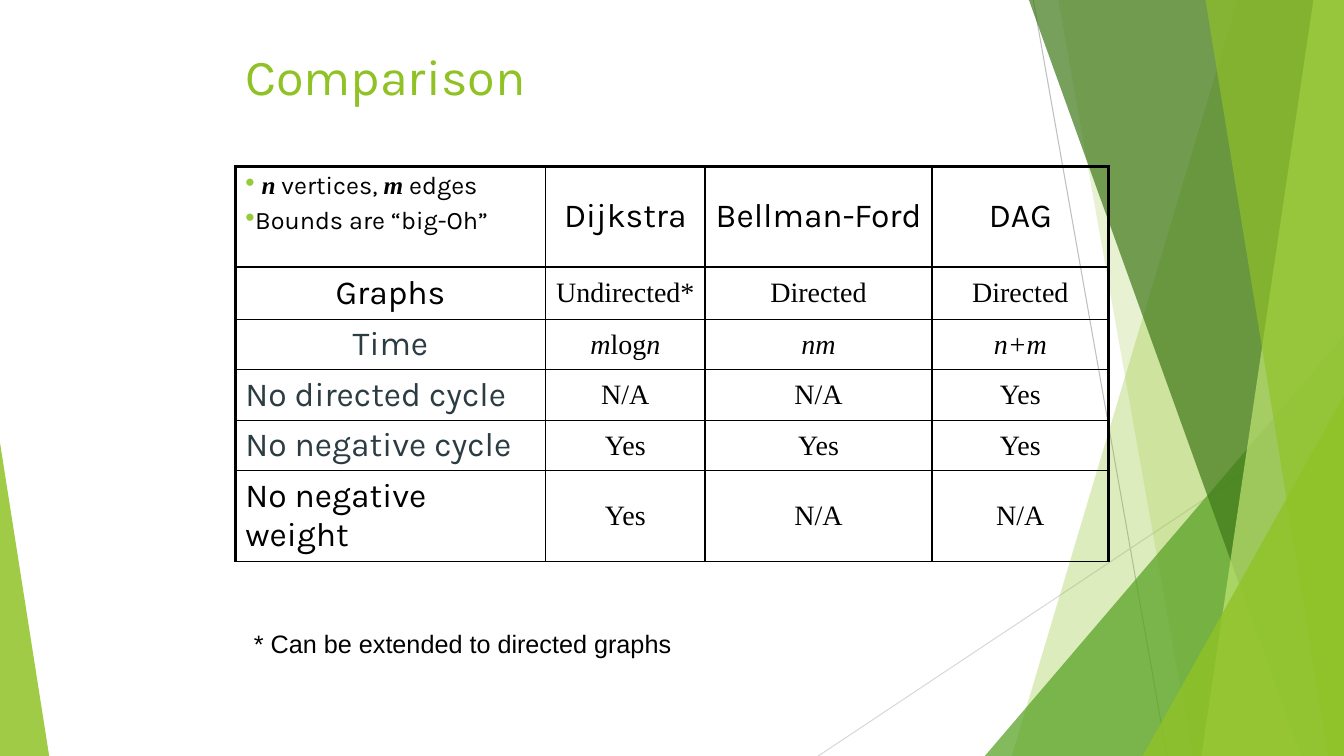
"""Build the slide that compares shortest-path algorithms."""
from lxml import etree
from pptx import Presentation
from pptx.dml.color import RGBColor
from pptx.enum.shapes import MSO_CONNECTOR, MSO_SHAPE
from pptx.enum.text import MSO_ANCHOR, PP_ALIGN
from pptx.oxml.ns import qn
from pptx.util import Cm, Pt

STRAIGHT = MSO_CONNECTOR.STRAIGHT
TRIANGLE = MSO_SHAPE.ISOSCELES_TRIANGLE
LEFT, CENTER = PP_ALIGN.LEFT, PP_ALIGN.CENTER
TOP, MIDDLE = MSO_ANCHOR.TOP, MSO_ANCHOR.MIDDLE

BLACK = RGBColor(0x00, 0x00, 0x00)
SLATE = RGBColor(0x2C, 0x3C, 0x43)
LIME = RGBColor(0x90, 0xC2, 0x26)
GREEN = RGBColor(0x54, 0xA0, 0x21)
FOREST = RGBColor(0x3F, 0x78, 0x19)
PALE_LIME = RGBColor(0xC0, 0xE4, 0x74)
BULLET_LIME = RGBColor(0x99, 0xCA, 0x3C)
GRAY = RGBColor(0xBF, 0xBF, 0xBF)
LIGHT_GRAY = RGBColor(0xD9, 0xD9, 0xD9)

SANS, SERIF = "Karla", "Times New Roman"
WIDTH, HEIGHT = 33.87, 19.05
COLUMN_WIDTHS = (7.82, 4.02, 5.72, 4.45)
ROW_HEIGHTS = (2.54, 1.32, 1.27, 1.25, 1.25, 2.23)
THIN, THICK = 1, 2.25

ALGORITHMS = ("Dijkstra", "Bellman-Ford", "DAG")
NOTES = (
    ((" n", True), (" vertices, ", False), ("m", True), (" edges", False)),
    (("Bounds are “big-Oh”", False),),
)
CRITERIA = (
    ("Graphs", CENTER, BLACK, ("Undirected*", "Directed", "Directed")),
    ("Time", CENTER, SLATE, (("m", "log", "n"), ("nm",), ("n+m",))),
    ("No directed cycle", LEFT, SLATE, ("N/A", "N/A", "Yes")),
    ("No negative cycle", LEFT, SLATE, ("Yes", "Yes", "Yes")),
    ("No negative weight", LEFT, BLACK, ("Yes", "N/A", "N/A")),
)


def add_text(paragraph, text, font=SANS, size=24, color=BLACK, bold=False, italic=False):
    """Append a formatted run to a paragraph."""
    run = paragraph.add_run()
    run.text = text
    run.font.name = font
    run.font.size = Pt(size)
    run.font.color.rgb = color
    run.font.bold = bold
    run.font.italic = italic


def add_text_box(slide, text, left, top, width, height, inset=0.13, **text_format):
    """Add a wrapping text box with one line of text."""
    box = slide.shapes.add_textbox(Cm(left), Cm(top), Cm(width), Cm(height))
    frame = box.text_frame
    frame.word_wrap = True
    frame.margin_top = Cm(inset)
    add_text(frame.paragraphs[0], text, **text_format)


def add_thin_line(slide, start, end, color):
    """Add a fine straight line without a shadow."""
    line = slide.shapes.add_connector(STRAIGHT, *(Cm(value) for value in start + end))
    line.line.color.rgb = color
    line.line.width = Pt(0.75)
    etree.SubElement(line._element.spPr, qn("a:effectLst"))


def paint(shape, color, opacity):
    """Give a shape a translucent fill and no outline or shadow."""
    shape.shadow.inherit = False
    shape.line.fill.background()
    shape.fill.solid()
    shape.fill.fore_color.rgb = color
    color_element = shape._element.spPr.find(qn("a:solidFill"))[0]
    etree.SubElement(color_element, qn("a:alpha"), val=str(opacity * 1000))


def add_band(slide, top_x, bottom_x, color, opacity):
    """Add a full-height band from a slanted left edge to the right slide edge."""
    builder = slide.shapes.build_freeform(Cm(top_x), 0)
    corners = ((WIDTH, 0), (WIDTH, HEIGHT), (bottom_x, HEIGHT))
    builder.add_line_segments([(Cm(x), Cm(y)) for x, y in corners])
    paint(builder.convert_to_shape(), color, opacity)


def add_corner(slide, left, top, width, apex, color, opacity):
    """Add a right triangle that stands on the bottom slide edge."""
    shape = slide.shapes.add_shape(TRIANGLE, Cm(left), Cm(top), Cm(width), Cm(HEIGHT - top))
    shape.adjustments[0] = apex
    paint(shape, color, opacity)


def add_decoration(slide):
    """Add the green facets and the two fine lines."""
    add_thin_line(slide, (26.04, 0), (29.41, HEIGHT), GRAY)
    add_thin_line(slide, (WIDTH, 10.24), (20.62, HEIGHT), LIGHT_GRAY)
    add_band(slide, 31.19, 25.5, LIME, 30)
    add_band(slide, 26.67, 30.05, LIME, 20)
    add_corner(slide, 24.82, 8.46, 9.05, 1, GREEN, 72)
    add_band(slide, 25.93, 32.79, FOREST, 70)
    add_band(slide, 33.1, 30.28, PALE_LIME, 70)
    add_band(slide, 30.38, 33.48, LIME, 65)
    add_corner(slide, 28.8, 9.98, 5.07, 1, LIME, 80)
    add_corner(slide, 0, 11.15, 1.24, 0, LIME, 85)


def set_borders(cell, **widths):
    """Draw black cell borders with the given widths in points."""
    properties = cell._tc.get_or_add_tcPr()
    for side, width in widths.items():
        line = etree.SubElement(properties, qn(f"a:ln{side}"), w=str(Pt(width)))
        fill = etree.SubElement(line, qn("a:solidFill"))
        etree.SubElement(fill, qn("a:srgbClr"), val=str(BLACK))


def add_bullet(paragraph):
    """Give a paragraph a green bullet."""
    properties = paragraph._p.get_or_add_pPr()
    color = etree.SubElement(properties, qn("a:buClr"))
    etree.SubElement(color, qn("a:srgbClr"), val=str(BULLET_LIME))
    etree.SubElement(properties, qn("a:buSzPct"), val="110000")
    etree.SubElement(properties, qn("a:buChar"), char="•")


def fill_cell(cell, parts, alignment=CENTER, **text_format):
    """Write one aligned paragraph; in a tuple of parts, all but log are italic."""
    paragraph = cell.text_frame.paragraphs[0]
    paragraph.alignment = alignment
    if isinstance(parts, str):
        add_text(paragraph, parts, **text_format)
    else:
        for part in parts:
            add_text(paragraph, part, italic=part != "log", **text_format)


def fill_notes(cell):
    """Write the bulleted notes in the corner cell."""
    frame = cell.text_frame
    for index, note in enumerate(NOTES):
        paragraph = frame.add_paragraph() if index else frame.paragraphs[0]
        if index:
            paragraph.space_before = Pt(4)
        add_bullet(paragraph)
        for text, symbol in note:
            add_text(paragraph, text, font=SERIF if symbol else SANS, size=18,
                     bold=symbol, italic=symbol)


def add_comparison_table(slide):
    """Add the table of algorithms and criteria."""
    rows, columns = len(ROW_HEIGHTS), len(COLUMN_WIDTHS)
    table = slide.shapes.add_table(rows, columns, Cm(5.93), Cm(4.19),
                                   Cm(sum(COLUMN_WIDTHS)), Cm(sum(ROW_HEIGHTS))).table
    table.first_row = table.horz_banding = False
    for column, width in zip(table.columns, COLUMN_WIDTHS):
        column.width = Cm(width)
    for row, height in zip(table.rows, ROW_HEIGHTS):
        row.height = Cm(height)
    for row in range(rows):
        for column in range(columns):
            cell = table.cell(row, column)
            cell.vertical_anchor = MIDDLE if row or column else TOP
            set_borders(cell, L=THIN if column else THICK,
                        R=THICK if column == columns - 1 else THIN,
                        T=THIN if row else THICK, B=THIN)
            cell.fill.background()
    fill_notes(table.cell(0, 0))
    for column, algorithm in enumerate(ALGORITHMS, 1):
        fill_cell(table.cell(0, column), algorithm)
    for row, (criterion, alignment, color, answers) in enumerate(CRITERIA, 1):
        fill_cell(table.cell(row, 0), criterion, alignment, color=color)
        for column, answer in enumerate(answers, 1):
            fill_cell(table.cell(row, column), answer, font=SERIF, size=20)


def main():
    """Build and save the presentation."""
    presentation = Presentation()
    presentation.slide_width, presentation.slide_height = Cm(WIDTH), Cm(HEIGHT)
    slide = presentation.slides.add_slide(presentation.slide_layouts[6])
    add_decoration(slide)
    add_text_box(slide, "Comparison", 5.93, 0.85, 22.23, 2.33, inset=0.28, size=36, color=LIME)
    add_comparison_table(slide)
    add_text_box(slide, "* Can be extended to directed graphs", 6.15, 15.7, 19.48, 1.02,
                 font="Arial", size=18)
    presentation.save("out.pptx")


if __name__ == "__main__":
    main()
